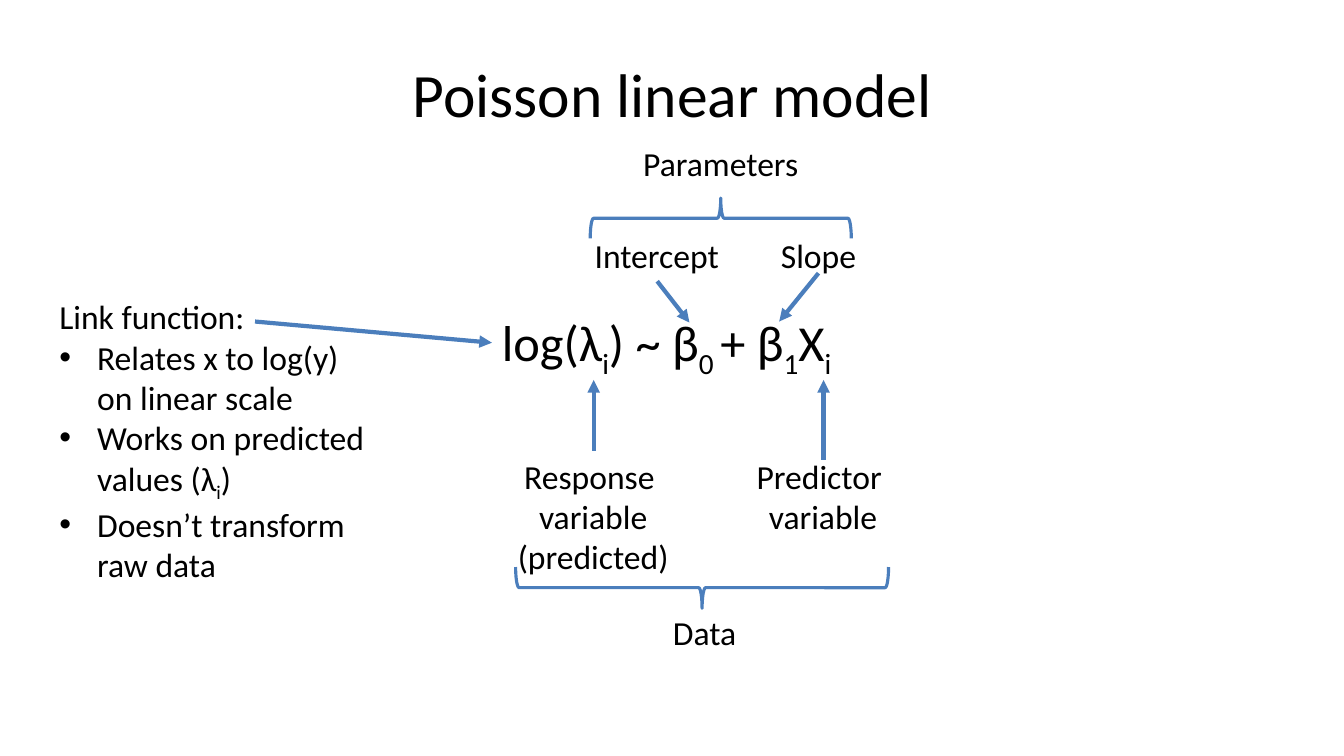
import dataclasses

import pptx
import pptx.dml.color
import pptx.enum.shapes
import pptx.enum.text
import pptx.oxml.ns
import pptx.util
from lxml import etree

# Grid: cells of a tenth of an inch
CELL = 0.1
COLS, ROWS = 133.33, 75
FONT, INK, BLUE = "Calibri", "000000", "4B7EBC"
BODY = 24
HANG = 3.75
ALIGN = pptx.enum.text.PP_ALIGN
SHAPE = pptx.enum.shapes.MSO_SHAPE


@dataclasses.dataclass
class Label:
    col: float
    row: float
    wide: float
    high: float
    lines: list[str]  # odd parts between underscores are subscripts
    size: int = BODY
    align: ALIGN = ALIGN.CENTER
    title: bool = False
    list: bool = False  # bullets from the second line on


@dataclasses.dataclass
class Arrow:
    start: tuple[float, float]
    end: tuple[float, float]


@dataclasses.dataclass
class Brace:
    col: float
    row: float
    wide: float
    deep: float
    turn: int


LABELS = [
    Label(6.7, 3, 120, 12.5, ["Poisson linear model"], 44, title=True),
    Label(48.8, 30.4, 35.7, 7.1, ["log(λ_i_) ~ β_0 _+ β_1_X_i"], 36, ALIGN.LEFT),
    Label(4.9, 28.9, 33.3, 33.3, [
        "Link function:",
        "Relates x to log(y) \non linear scale",
        "Works on predicted \nvalues (λ_i_)",
        "Doesn’t transform \nraw data",
    ], align=ALIGN.LEFT, list=True),
    Label(62.7, 13.7, 17.6, 5, ["Parameters"]),
    Label(57.9, 22.8, 14.5, 5, ["Intercept"]),
    Label(76.4, 22.8, 9.6, 5, ["Slope"]),
    Label(50.3, 44.7, 17.1, 13.1, ["Response \nvariable", "(predicted)"]),
    Label(74, 44.7, 15.3, 9.1, ["Predictor \nvariable"]),
    Label(65.7, 60.2, 8.4, 5, ["Data"]),
]
ARROWS = [
    Arrow((25.3, 31.9), (48.8, 34)),
    Arrow((65.2, 27.9), (68.4, 32)),
    Arrow((81.2, 27.1), (77.3, 31.9)),
    Arrow((58.9, 44.7), (58.9, 37.7)),
    Arrow((81.7, 45.6), (81.7, 37.7)),
]
BRACES = [
    Brace(58.55, 19.65, 25.9, 4, 270),
    Brace(51.15, 56.25, 37, 4.1, 90),
]


def span(cells: float) -> int:
    return pptx.util.Inches(cells * CELL)


def tint(code: str) -> pptx.dml.color.RGBColor:
    return pptx.dml.color.RGBColor.from_string(code)


def add_tag(parent, name: str, **attrs: str) -> None:
    etree.SubElement(parent, pptx.oxml.ns.qn(name), attrs)


def add_label(slide, label: Label) -> None:
    box = slide.shapes.add_textbox(
        span(label.col), span(label.row), span(label.wide), span(label.high))
    frame = box.text_frame
    frame.word_wrap = label.title
    if label.title:
        frame.vertical_anchor = pptx.enum.text.MSO_ANCHOR.MIDDLE
    else:
        frame.auto_size = pptx.enum.text.MSO_AUTO_SIZE.SHAPE_TO_FIT_TEXT
    for spot, line in enumerate(label.lines):
        para = frame.add_paragraph() if spot else frame.paragraphs[0]
        para.alignment = label.align
        if label.list and spot:
            add_bullet(para)
        fill_para(para, line, label.size)


def add_bullet(para) -> None:
    props = para._p.get_or_add_pPr()
    props.set("marL", str(span(HANG)))
    props.set("indent", str(-span(HANG)))
    add_tag(props, "a:buFont", typeface="Arial")
    add_tag(props, "a:buChar", char="•")


def fill_para(para, line: str, size: int) -> None:
    first, *rest = line.split("_")
    para.text = first
    for spot, part in enumerate(rest):
        if part:
            run = para.add_run()
            run.text = part
            if spot % 2 == 0:
                run.font._element.set("baseline", "-25000")
    for run in para.runs:
        run.font.name = FONT
        run.font.size = pptx.util.Pt(size)
        run.font.color.rgb = tint(INK)


def style_line(shape, width: float) -> None:
    shape.line.color.rgb = tint(BLUE)
    shape.line.width = pptx.util.Pt(width)


def add_arrow(slide, arrow: Arrow) -> None:
    kind = pptx.enum.shapes.MSO_CONNECTOR.STRAIGHT
    ends = [span(cells) for cells in (*arrow.start, *arrow.end)]
    link = slide.shapes.add_connector(kind, *ends)
    style_line(link, 3)
    add_tag(link.line._get_or_add_ln(), "a:tailEnd", type="triangle")
    add_tag(link._element.spPr, "a:effectLst")


def add_brace(slide, brace: Brace) -> None:
    # The shape stands upright before it is turned about its centre
    shift = (brace.wide - brace.deep) / 2
    shape = slide.shapes.add_shape(
        SHAPE.RIGHT_BRACE, span(brace.col + shift), span(brace.row - shift),
        span(brace.deep), span(brace.wide))
    shape.rotation = brace.turn
    shape.shadow.inherit = False
    shape.fill.background()
    style_line(shape, 2.25)


def main() -> None:
    deck = pptx.Presentation()
    deck.slide_width, deck.slide_height = span(COLS), span(ROWS)
    slide = deck.slides.add_slide(deck.slide_layouts[6])
    # Text first, then the marks that join it
    for label in LABELS:
        add_label(slide, label)
    for arrow in ARROWS:
        add_arrow(slide, arrow)
    for brace in BRACES:
        add_brace(slide, brace)
    deck.save("out.pptx")


if __name__ == "__main__":
    main()
